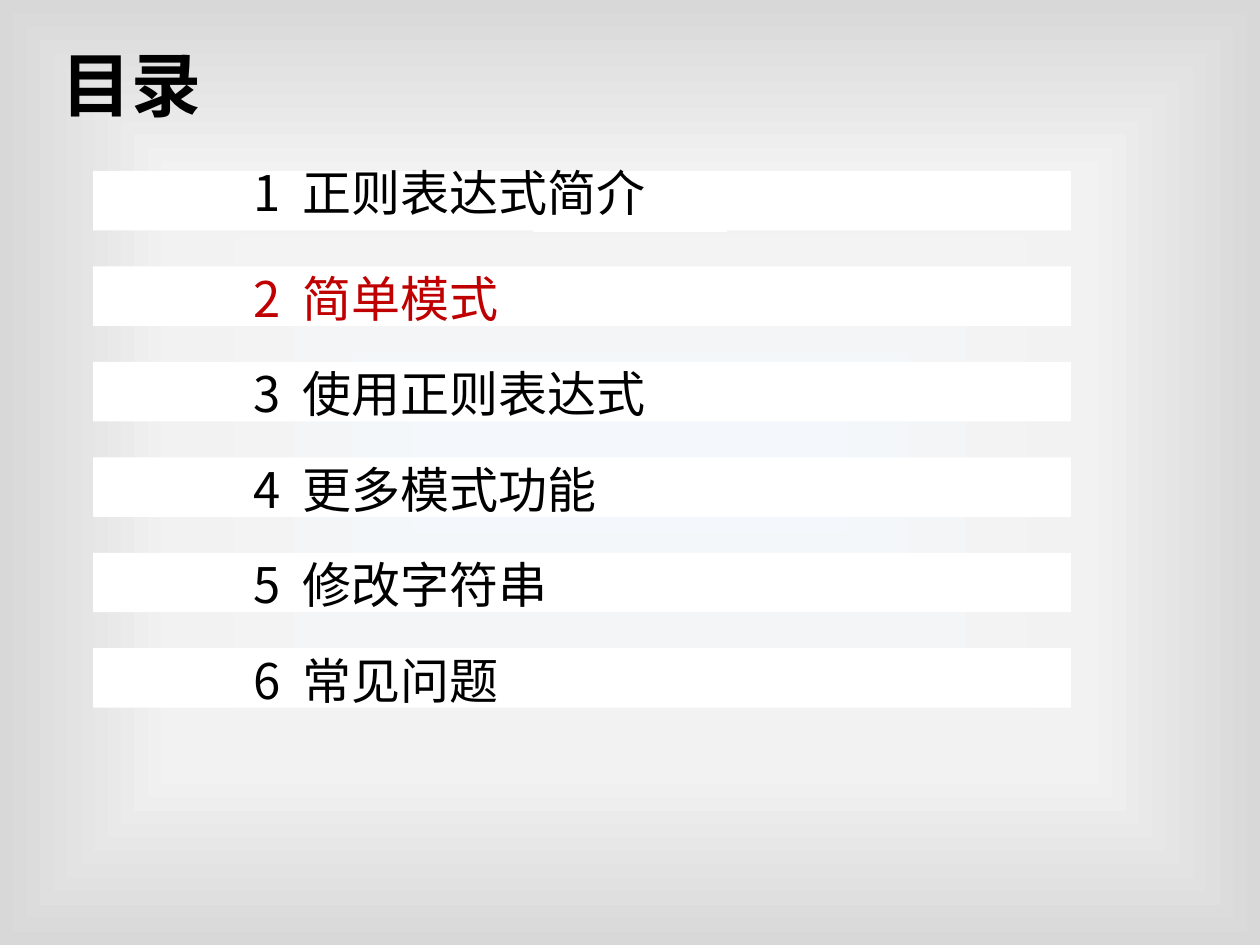
from dataclasses import dataclass

import pptx
import pptx.dml.color
import pptx.enum.shapes
import pptx.oxml
import pptx.oxml.ns
import pptx.util
from lxml import etree

qn = pptx.oxml.ns.qn


@dataclass(frozen=True)
class Theme:
    ink: str = "000000"
    accent: str = "C00000"
    bar: str = "FFFFFF"
    backdrop: tuple = ((0, "F4F8FC"), (63, "F2F2F2"), (100, "D8D8D8"))
    title_font: str = "Times New Roman"
    body_font: str = "Noto Sans CJK SC"
    title_size: int = 40
    body_size: int = 28
    rule_width: float = 1.5


class Agenda:
    COLUMNS = 10
    ROWS = 10

    def __init__(self, theme):
        self.theme = theme
        self.deck = pptx.Presentation()
        self.deck.slide_width = pptx.util.Inches(10)
        self.deck.slide_height = pptx.util.Inches(7.5)
        self.page = self.deck.slides.add_slide(self.deck.slide_layouts[6])

    def place(self, column, row, width, height):
        cell_width = self.deck.slide_width / self.COLUMNS
        cell_height = self.deck.slide_height / self.ROWS
        return [round(column * cell_width), round(row * cell_height),
                round(width * cell_width), round(height * cell_height)]

    def color(self, value):
        return pptx.dml.color.RGBColor.from_string(value)

    def backdrop(self):
        stops = "".join(
            f'<a:gs pos="{share * 1000}"><a:srgbClr val="{value}"/></a:gs>'
            for share, value in self.theme.backdrop)
        background = pptx.oxml.parse_xml(
            f'<p:bg {pptx.oxml.ns.nsdecls("p", "a")}><p:bgPr><a:gradFill>'
            f'<a:gsLst>{stops}</a:gsLst><a:path path="shape">'
            '<a:fillToRect l="50000" t="50000" r="50000" b="50000"/>'
            '</a:path></a:gradFill><a:effectLst/></p:bgPr></p:bg>')
        self.page.element.cSld.insert(0, background)

    def rule(self, column, row, width):
        left, top, length, _ = self.place(column, row, width, 0)
        line = self.page.shapes.add_connector(
            pptx.enum.shapes.MSO_CONNECTOR.STRAIGHT, left, top, left + length, top)
        line.line.color.rgb = self.color(self.theme.bar)
        line.line.width = pptx.util.Pt(self.theme.rule_width)
        etree.SubElement(line.element.spPr, qn("a:effectLst"))

    def bar(self, *area):
        shape = self.page.shapes.add_shape(
            pptx.enum.shapes.MSO_SHAPE.RECTANGLE, *self.place(*area))
        shape.shadow.inherit = False
        shape.fill.solid()
        shape.fill.fore_color.rgb = self.color(self.theme.bar)
        shape.line.fill.background()

    def text(self, words, area, font, size, color, bold=False):
        box = self.page.shapes.add_textbox(*self.place(*area))
        box.text_frame.word_wrap = True
        para = box.text_frame.paragraphs[0]
        para.text = words
        para.font.name = font
        para.font.size = pptx.util.Pt(size)
        para.font.bold = bold
        para.font.color.rgb = self.color(color)
        defaults = para._p.pPr.find(qn("a:defRPr"))
        etree.SubElement(defaults, qn("a:ea"), typeface=self.theme.body_font)
        return box.text_frame

    def title(self, words, *area):
        self.text(words, area, self.theme.title_font, self.theme.title_size,
                  self.theme.ink, bold=True)

    def label(self, number, words, color, *area):
        frame = self.text(f"{number}\t{words}", area, self.theme.body_font,
                          self.theme.body_size, color)
        frame.margin_top = frame.margin_right = frame.margin_bottom = 0
        frame.margin_left = pptx.util.Inches(0.09)
        para = frame.paragraphs[0]
        para.line_spacing = 0.9
        tabs = etree.Element(qn("a:tabLst"))
        etree.SubElement(tabs, qn("a:tab"), algn="l",
                         pos=str(pptx.util.Inches(0.39)))
        para._p.pPr.find(qn("a:defRPr")).addprevious(tabs)


def main():
    theme = Theme()
    agenda = Agenda(theme)
    agenda.backdrop()
    agenda.rule(4.23, 2.44, 1.54)
    agenda.title("目录", 0.39, 0.37, 5.21, 1.01)

    chapters = ["正则表达式简介", "简单模式", "使用正则表达式",
                "更多模式功能", "修改字符串", "常见问题"]
    current = 2
    first_row, pitch = 1.81, 1.01
    for number, chapter in enumerate(chapters, start=1):
        row = first_row + (number - 1) * pitch
        drop = -0.02 if number == 1 else 0.09
        color = theme.accent if number == current else theme.ink
        agenda.bar(0.74, row, 7.76, 0.63)
        agenda.label(number, chapter, color, 1.92, row + drop, 5.09, 0.67)

    agenda.deck.save("out.pptx")


if __name__ == "__main__":
    main()
